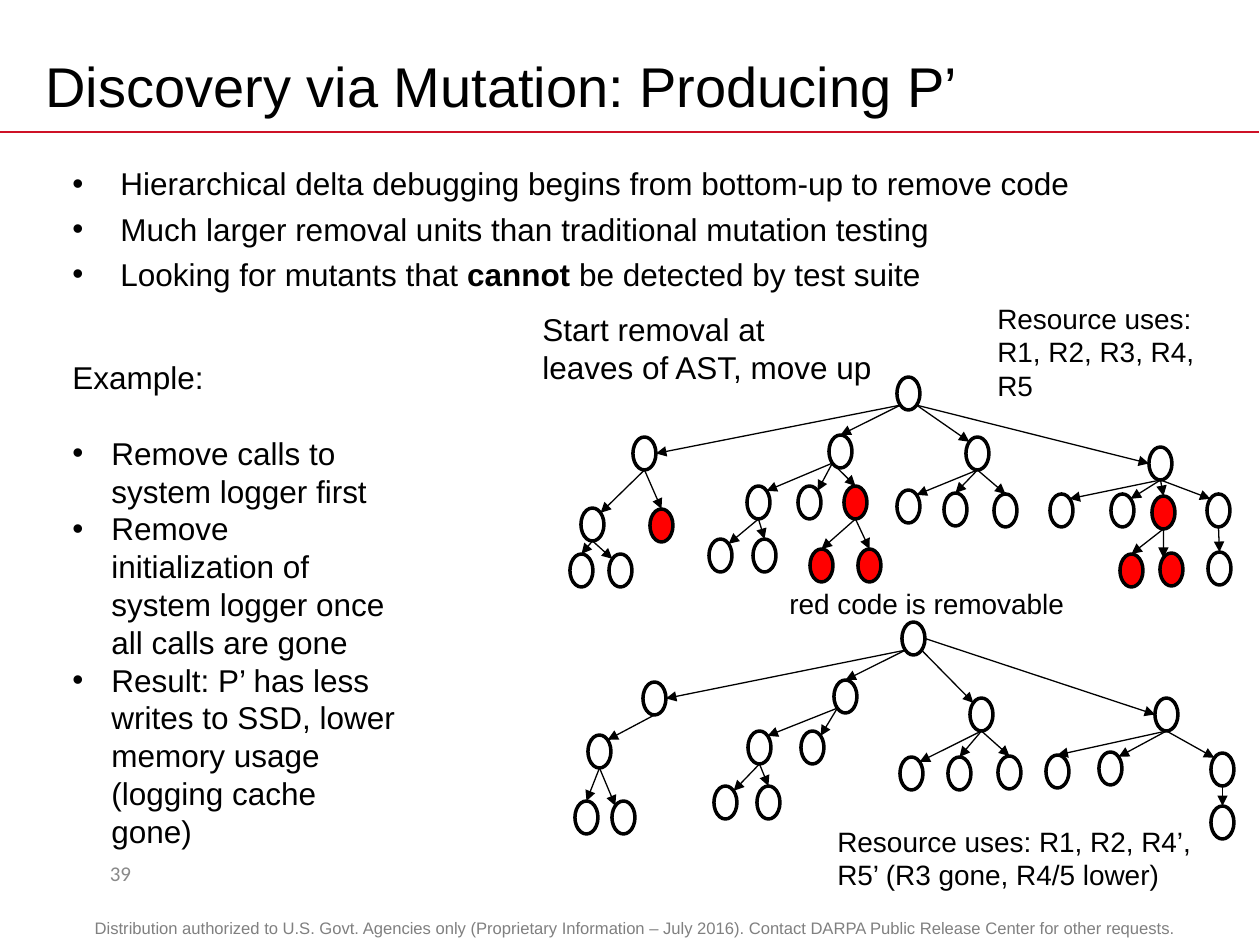
from dataclasses import dataclass
from math import sqrt

from lxml import etree
from pptx import Presentation
from pptx.dml.color import RGBColor
from pptx.enum.shapes import MSO_CONNECTOR, MSO_SHAPE
from pptx.enum.text import MSO_ANCHOR, PP_ALIGN
from pptx.oxml.ns import qn
from pptx.util import Pt

STRAIGHT = MSO_CONNECTOR.STRAIGHT
OVAL = MSO_SHAPE.OVAL
LEFT, CENTER = PP_ALIGN.LEFT, PP_ALIGN.CENTER
TOP, MIDDLE = MSO_ANCHOR.TOP, MSO_ANCHOR.MIDDLE

PX = 914400 / 126
PAGE_WIDTH, PAGE_HEIGHT = 1260, 945
NODE_WIDTH, NODE_HEIGHT = 23, 33


@dataclass(frozen=True)
class Theme:
    font: str = "Arial"
    number_font: str = "Calibri"
    ink: str = "000000"
    paper: str = "FFFFFF"
    rule: str = "CE1126"
    removable: str = "FF0000"
    footer: str = "808080"
    number: str = "898989"
    title_size: float = 32
    body_size: float = 18
    label_size: float = 16
    number_size: float = 12
    footer_size: float = 9.5


THEME = Theme()

# Where an arrow meets a node, as shares of its half width and half height
DIAGONAL = 1 / sqrt(2)
SITES = {
    "t": (0, -1), "b": (0, 1), "l": (-1, 0), "r": (1, 0),
    "tl": (-DIAGONAL, -DIAGONAL), "tr": (DIAGONAL, -DIAGONAL),
    "bl": (-DIAGONAL, DIAGONAL), "br": (DIAGONAL, DIAGONAL),
}


@dataclass(frozen=True)
class Node:
    x: int
    y: int
    leave: str = ""  # site on the parent
    enter: str = ""  # site on this node
    children: tuple = ()
    removable: bool = False

    def site(self, name):
        across, down = SITES[name]
        return (self.x + NODE_WIDTH / 2 * (1 + across),
                self.y + NODE_HEIGHT / 2 * (1 + down))


FULL_TREE = Node(327, 0, children=(
    Node(63, 60, "bl", "r", (
        Node(11, 131, "b", "tr", (
            Node(0, 177, "b", "t"), Node(39, 177, "b", "tl"))),
        Node(80, 132, "b", "t", removable=True))),
    Node(259, 58, "bl", "t", (
        Node(177, 109, "bl", "tr", (
            Node(139, 162, "b", "tr"), Node(183, 162, "b", "t"))),
        Node(228, 109, "bl", "tr"),
        Node(274, 109, "bl", "t", (
            Node(240, 172, "b", "t", removable=True),
            Node(288, 172, "b", "t", removable=True)), True))),
    Node(396, 60, "br", "tl", (
        Node(327, 113, "b", "tr"), Node(374, 116, "b", "t"),
        Node(424, 117, "b", "t"))),
    Node(579, 70, "br", "l", (
        Node(480, 117, "b", "tr"), Node(541, 117, "b", "tr"),
        Node(582, 119, "b", "t", (
            Node(550, 177, "b", "t", removable=True),
            Node(590, 176, "b", "tl", removable=True)), True),
        Node(637, 117, "b", "tl", (Node(638, 175, "b", "t"),)))),
))

REDUCED_TREE = Node(327, 0, children=(
    Node(68, 60, "bl", "r", (
        Node(13, 113, "b", "tr", (
            Node(0, 179, "b", "t"), Node(37, 179, "b", "tl"))),)),
    Node(259, 58, "bl", "t", (
        Node(173, 109, "bl", "tr", (
            Node(139, 164, "b", "tr"), Node(182, 164, "b", "t"))),
        Node(226, 109, "bl", "tr"))),
    Node(395, 76, "br", "tl", (
        Node(325, 135, "b", "tr"), Node(373, 135, "b", "t"),
        Node(423, 134, "b", "t"))),
    Node(580, 76, "r", "l", (
        Node(471, 133, "b", "t"), Node(524, 130, "b", "tr"),
        Node(636, 131, "b", "tl", (Node(636, 184, "b", "t"),)))),
))


def px(length):
    return round(length * PX)


def add_line(page, start, end, color, width, arrow=False):
    line = page.shapes.add_connector(STRAIGHT, *map(px, start + end))
    line.line.color.rgb = RGBColor.from_string(color)
    line.line.width = Pt(width)
    if arrow:
        etree.SubElement(line.line._get_or_add_ln(), qn("a:tailEnd"), type="triangle")
    etree.SubElement(line._element.spPr, qn("a:effectLst"))


def add_text_box(page, box, anchor=TOP, wrap=True):
    frame = page.shapes.add_textbox(*map(px, box)).text_frame
    frame.word_wrap = wrap
    frame.vertical_anchor = anchor
    return frame


def write(para, text, size, color=THEME.ink, font=THEME.font, align=LEFT, indent=0):
    """Fill a paragraph; an indent in px makes it a bullet."""
    if indent:
        props = para._p.get_or_add_pPr()
        props.set("marL", str(px(indent)))
        props.set("indent", str(-px(indent)))
        etree.SubElement(props, qn("a:buFont"), typeface=THEME.font)
        etree.SubElement(props, qn("a:buChar"), char="•")
    para.alignment = align
    para.font.size = Pt(size)
    para.font.name = font
    para.font.color.rgb = RGBColor.from_string(color)
    for index, part in enumerate(text.split("**")):
        if index % 2:
            span = para.add_run()
            span.text = part
            span.font.bold = True
        elif index:
            para.add_run().text = part
        else:
            para.text = part


def add_label(page, box, text, size, anchor=TOP, wrap=True, **style):
    write(add_text_box(page, box, anchor, wrap).paragraphs[0], text, size, **style)


def add_header(page, box):
    left, top, width, height = box
    add_line(page, (left, top + height), (left + width, top + height), THEME.rule, 1)
    add_label(page, (left + 33, top + 38, 1134, 94),
              "Discovery via Mutation: Producing P’", THEME.title_size, MIDDLE)


def add_key_points(page, box):
    frame = add_text_box(page, box)
    points = ("Hierarchical delta debugging begins from bottom-up to remove code",
              "Much larger removal units than traditional mutation testing",
              "Looking for mutants that **cannot **be detected by test suite")
    for index, point in enumerate(points):
        para = frame.add_paragraph() if index else frame.paragraphs[0]
        write(para, point, THEME.body_size, indent=48)
        if index:
            para.space_before = Pt(4.4)


def add_example(page, box):
    frame = add_text_box(page, box)
    write(frame.paragraphs[0], "Example:", THEME.body_size)
    steps = ("Remove calls to system logger first",
             "Remove initialization of system logger once all calls are gone",
             "Result: P’ has less writes to SSD, lower memory usage (logging cache gone)")
    for index, step in enumerate(steps):
        para = frame.add_paragraph()
        write(para, step, THEME.body_size, indent=39)
        if index == 0:
            para.space_before = Pt(21.6)


def add_tree(page, box, node):
    left, top = box[:2]
    oval = page.shapes.add_shape(
        OVAL, px(left + node.x), px(top + node.y), px(NODE_WIDTH), px(NODE_HEIGHT))
    oval.shadow.inherit = False
    oval.fill.solid()
    oval.fill.fore_color.rgb = RGBColor.from_string(
        THEME.removable if node.removable else THEME.paper)
    oval.line.color.rgb = RGBColor.from_string(THEME.ink)
    oval.line.width = Pt(2)
    for child in node.children:
        add_tree(page, box, child)
        (x1, y1), (x2, y2) = node.site(child.leave), child.site(child.enter)
        add_line(page, (left + x1, top + y1), (left + x2, top + y2),
                 THEME.ink, 0.75, arrow=True)


def add_tree_labels(page, box):
    left, top = box[:2]
    size = THEME.label_size
    add_label(page, (left + 455, top, 249, 115),
              "Resource uses: R1, R2, R3, R4, R5", size)
    add_label(page, (left + 295, top + 523, 404, 81),
              "Resource uses: R1, R2, R4’, R5’ (R3 gone, R4/5 lower)", size)
    add_label(page, (left + 247, top + 285, 304, 47),
              "red code is removable", size, wrap=False)
    add_label(page, (left, top + 9, 358, 89),
              "Start removal at\vleaves of AST, move up", THEME.body_size, wrap=False)


def add_footer(page, box):
    left, top = box[:2]
    add_label(page, (left, top, 175, 50), "39", THEME.number_size, MIDDLE,
              color=THEME.number, font=THEME.number_font, align=CENTER)
    frame = add_text_box(page, (left + 40, top + 68, 1124, 33))
    write(frame.paragraphs[0],
          "Distribution authorized to U.S. Govt. Agencies only (Proprietary Information"
          " – July 2016). Contact DARPA Public Release Center for other requests.",
          THEME.footer_size, color=THEME.footer, align=CENTER)
    frame.paragraphs[0].line_spacing = 0.8


def main():
    deck = Presentation()
    deck.slide_width, deck.slide_height = px(PAGE_WIDTH), px(PAGE_HEIGHT)
    page = deck.slides.add_slide(deck.slide_layouts[6])
    add_header(page, (0, 0, 1259, 132))
    add_key_points(page, (60, 158, 1134, 145))
    add_example(page, (60, 352, 348, 547))
    add_tree(page, (570, 377, 662, 210), FULL_TREE)
    add_tree(page, (575, 622, 659, 217), REDUCED_TREE)
    add_tree_labels(page, (530, 295, 704, 604))
    add_footer(page, (33, 848, 1164, 101))
    deck.save("out.pptx")


if __name__ == "__main__":
    main()
